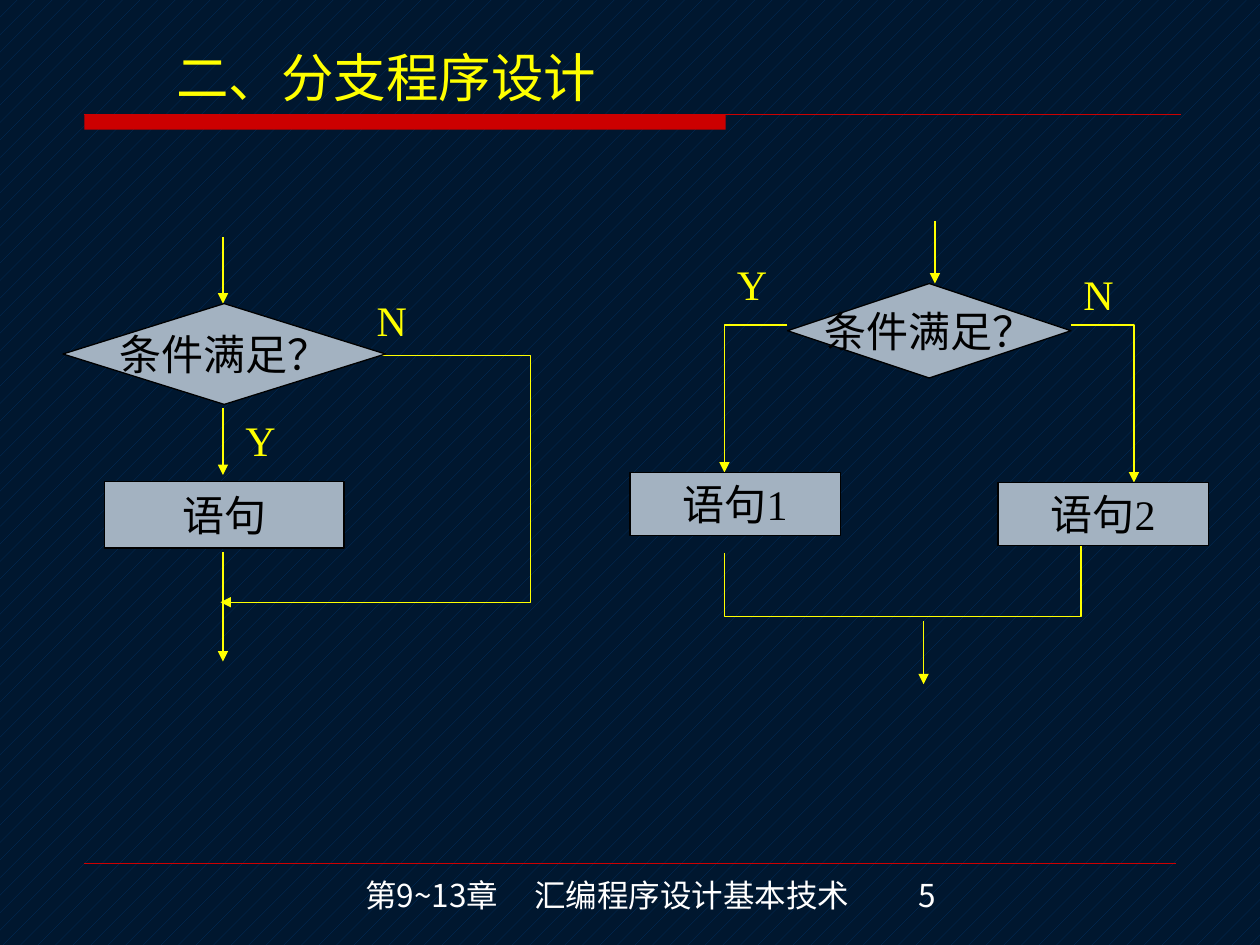
from dataclasses import dataclass

from lxml.etree import SubElement
from pptx import Presentation
from pptx.dml.color import RGBColor
from pptx.enum.dml import MSO_PATTERN
from pptx.enum.shapes import MSO_CONNECTOR, MSO_SHAPE
from pptx.enum.text import MSO_ANCHOR, MSO_AUTO_SIZE, PP_ALIGN
from pptx.oxml.ns import qn
from pptx.util import Inches, Pt


@dataclass(frozen=True)
class Theme:
    """Colours, fonts and type sizes of the slide."""
    back: str = "00172F"
    pattern: str = "003366"
    red: str = "CC0000"
    yellow: str = "FFFF00"
    white: str = "FFFFFF"
    black: str = "000000"
    node: str = "A3B2C1"
    cjk: str = "Noto Sans CJK JP"
    heading: str = "Open Sans"
    body: str = "Times New Roman"
    title_pt: int = 30
    body_pt: int = 24
    footer_pt: int = 18
    line_pt: float = 0.75


@dataclass(frozen=True)
class Node:
    """A flowchart box: place, size, caption and preset."""
    x: float
    y: float
    w: float
    h: float
    text: str
    kind: MSO_SHAPE = MSO_SHAPE.FLOWCHART_PROCESS


@dataclass(frozen=True)
class Flow:
    """A flow line through points, with or without an arrowhead."""
    points: tuple
    arrow: bool = True


@dataclass(frozen=True)
class Label:
    """A branch label and its corner."""
    x: float
    y: float
    text: str


T = Theme()
DECISION = MSO_SHAPE.FLOWCHART_DECISION

FLOWS = (
    Flow(((7.42, 1.75), (7.42, 2.25))),
    Flow(((6.25, 2.58), (5.75, 2.58), (5.75, 3.75))),
    Flow(((8.5, 2.58), (9, 2.58), (9, 3.83))),
    Flow(((5.75, 4.39), (5.75, 4.89), (8.58, 4.89), (8.58, 4.3)), arrow=False),
    Flow(((7.33, 4.93), (7.33, 5.43))),
    Flow(((1.77, 1.88), (1.77, 2.41))),
    Flow(((1.77, 3.24), (1.77, 3.77))),
    Flow(((1.77, 4.38), (1.77, 5.25))),
    Flow(((2.89, 2.82), (4.21, 2.82), (4.21, 4.78), (1.75, 4.78))),
)
NODES = (
    Node(6.25, 2.25, 2.25, 0.75, "条件满足？", DECISION),
    Node(5, 3.75, 1.67, 0.5, "语句1"),
    Node(7.92, 3.83, 1.67, 0.5, "语句2"),
    Node(0.5, 2.41, 2.56, 0.8, "条件满足？", DECISION),
    Node(0.83, 3.82, 1.9, 0.53, "语句"),
)
LABELS = (
    Label(5.75, 2, "Y"), Label(8.5, 2.08, "N"),
    Label(2.89, 2.29, "N"), Label(1.85, 3.24, "Y"),
)


def rgb(color: str) -> RGBColor:
    """Turn a hex string into a colour."""
    return RGBColor.from_string(color)


def write(sp, text: str, *, size=T.body_pt, color=T.yellow, font=T.body,
          align=PP_ALIGN.LEFT, anchor=MSO_ANCHOR.TOP, wrap=False, tabs=()) -> None:
    """Put one formatted paragraph into a shape."""
    tf = sp.text_frame
    tf.word_wrap, tf.vertical_anchor = wrap, anchor
    tf.auto_size = MSO_AUTO_SIZE.NONE
    p = tf.paragraphs[0]
    p.alignment = align
    if tabs:
        stops = SubElement(p._p.get_or_add_pPr(), qn("a:tabLst"))
        for pos in tabs:
            SubElement(stops, qn("a:tab"), pos=str(Inches(pos)), algn="l")
    r = p.add_run()
    r.text = text
    r.font.size, r.font.name = Pt(size), font
    r.font.bold = False
    r.font.color.rgb = rgb(color)
    SubElement(r._r.get_or_add_rPr(), qn("a:ea"), typeface=T.cjk)


def add_text(s, x: float, y: float, w: float, h: float, text: str, **fmt) -> None:
    """Add a text box."""
    write(s.shapes.add_textbox(Inches(x), Inches(y), Inches(w), Inches(h)), text, **fmt)


def add_flow(s, flow: Flow, color: str = T.yellow, width: float = T.line_pt) -> None:
    """Draw a straight connector or an open bent line."""
    pts = [(Inches(x), Inches(y)) for x, y in flow.points]
    if len(pts) == 2:
        sp = s.shapes.add_connector(MSO_CONNECTOR.STRAIGHT, *pts[0], *pts[1])
    else:
        fb = s.shapes.build_freeform(*pts[0])
        fb.add_line_segments(pts[1:], close=False)
        sp = fb.convert_to_shape()
        sp.fill.background()
    sp.line.color.rgb, sp.line.width = rgb(color), Pt(width)
    if flow.arrow:
        SubElement(sp.line._get_or_add_ln(), qn("a:tailEnd"), type="triangle")
    SubElement(sp._element.spPr, qn("a:effectLst"))


def add_box(s, kind: MSO_SHAPE, x: float, y: float, w: float, h: float, fill: str):
    """Add a flat filled preset shape without an outline."""
    sp = s.shapes.add_shape(kind, Inches(x), Inches(y), Inches(w), Inches(h))
    sp.shadow.inherit = False
    sp.fill.solid()
    sp.fill.fore_color.rgb = rgb(fill)
    sp.line.fill.background()
    return sp


def add_node(s, node: Node) -> None:
    """Draw an outlined flowchart box with its caption."""
    sp = add_box(s, node.kind, node.x, node.y, node.w, node.h, T.node)
    sp.line.color.rgb, sp.line.width = rgb(T.black), Pt(T.line_pt)
    write(sp, node.text, color=T.black, align=PP_ALIGN.CENTER, anchor=MSO_ANCHOR.MIDDLE)


def add_frame(s) -> None:
    """Set the background, title, rules and footer."""
    fill = s.background.fill
    fill.patterned()
    fill.pattern = MSO_PATTERN.PERCENT_5
    fill.fore_color.rgb, fill.back_color.rgb = rgb(T.pattern), rgb(T.back)
    add_flow(s, Flow(((0.67, 6.85), (9.33, 6.85)), False), T.red, 0.25)
    add_flow(s, Flow(((0.67, 0.91), (9.37, 0.91)), False), T.red, 0.25)
    add_box(s, MSO_SHAPE.RECTANGLE, 0.67, 0.91, 5.09, 0.12, T.red)
    title = s.shapes.title
    title.left, title.top = Inches(1.3), Inches(0.34)
    title.width, title.height = Inches(8.5), Inches(0.57)
    write(title, "二、分支程序设计", size=T.title_pt, font=T.heading,
          anchor=MSO_ANCHOR.BOTTOM, wrap=True)
    add_text(s, 2.8, 6.9, 5.2, 0.4, "第9~13章\t汇编程序设计基本技术\t5", size=T.footer_pt,
             color=T.white, font=T.cjk, wrap=True, tabs=(1.34, 4.39))


def main() -> None:
    """Build and save the slide."""
    prs = Presentation()
    prs.slide_width, prs.slide_height = Inches(10), Inches(7.5)
    s = prs.slides.add_slide(prs.slide_layouts[5])
    add_frame(s)
    for flow in FLOWS:
        add_flow(s, flow)
    for node in NODES:
        add_node(s, node)
    for label in LABELS:
        add_text(s, label.x, label.y, 0.44, 0.5, label.text)
    prs.save("out.pptx")


if __name__ == "__main__":
    main()
